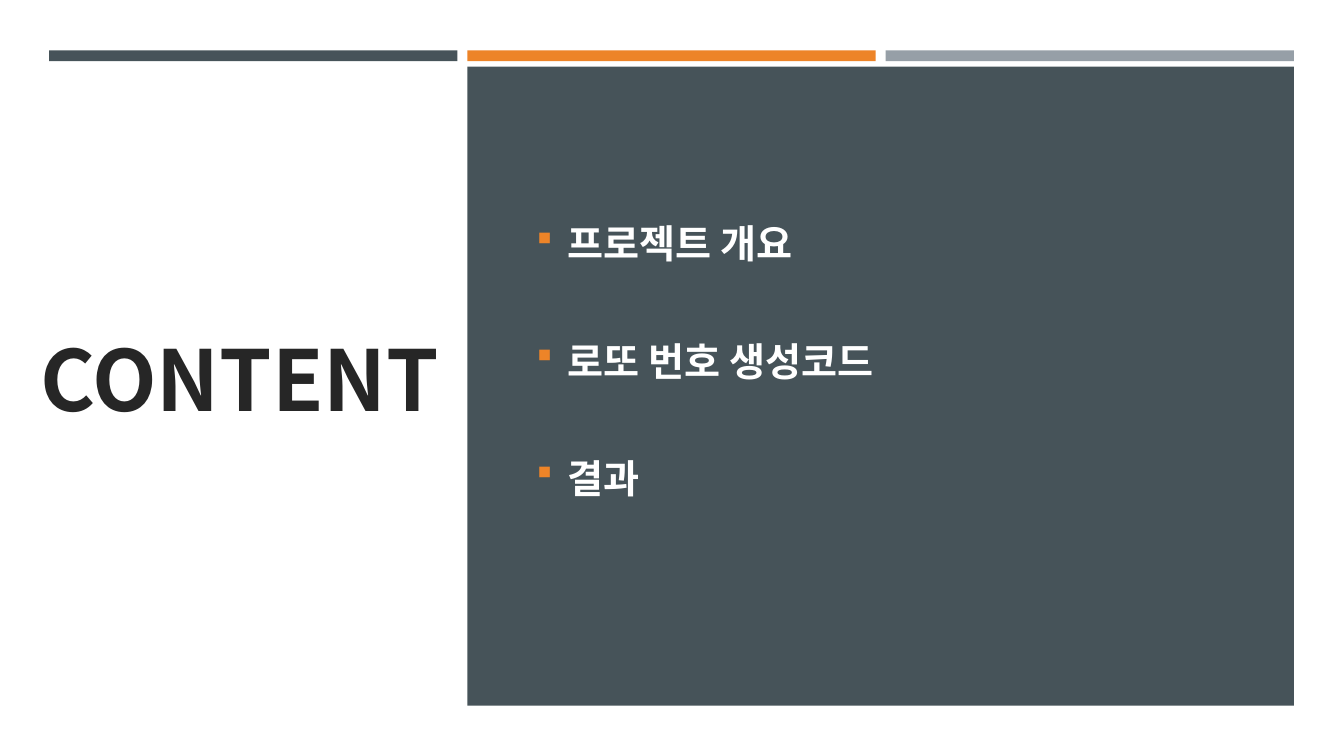
from dataclasses import dataclass

from lxml import etree
from pptx import Presentation
from pptx.dml.color import RGBColor
from pptx.enum import shapes, text
from pptx.oxml import ns
from pptx.util import Cm, Pt


@dataclass(frozen=True)
class Theme:
    font: str = "Noto Sans CJK KR"
    backdrop: str = "3D3D3D"
    white: str = "FFFFFF"
    ink: str = "262626"
    slate: str = "465359"
    orange: str = "ED8428"
    grey: str = "969FA7"
    title_size: int = 60
    item_size: int = 28


@dataclass(frozen=True)
class Box:
    """Position and size in centimetres."""
    left: float
    top: float
    width: float
    height: float


@dataclass(frozen=True)
class Block:
    box: Box
    color: str


THEME = Theme()
PAGE = Box(0, 0, 33.87, 19.05)
MARGIN, BAR_TOP, BAR_WIDTH, BAR_HEIGHT, BAR_GAP = 1.24, 1.27, 10.29, 0.27, 0.25
BAR_STEP = BAR_WIDTH + BAR_GAP
PANEL = Box(MARGIN + BAR_STEP, 1.68, BAR_STEP + BAR_WIDTH, 16.1)
TITLE = Box(0.76, 2.97, 10.67, 13.08)
LIST = Box(13.26, 2.54, 18.16, 13.08)
ITEMS = ["프로젝트 개요", "로또 번호 생성코드", "결과"]
ITEM_GAP = 50
BULLET_INDENT = 0.79


def place(shape, box: Box) -> None:
    for name in ("left", "top", "width", "height"):
        setattr(shape, name, Cm(getattr(box, name)))


def draw_block(page, block: Block) -> None:
    box = block.box
    shape = page.shapes.add_shape(
        shapes.MSO_SHAPE.RECTANGLE,
        Cm(box.left), Cm(box.top), Cm(box.width), Cm(box.height))
    shape.shadow.inherit = False
    shape.fill.solid()
    shape.fill.fore_color.rgb = RGBColor.from_string(block.color)
    shape.line.fill.background()


def prepare_placeholder(holder, box: Box):
    """Moves a placeholder to its box, above the blocks, and returns its text frame."""
    place(holder, box)
    holder.element.getparent().append(holder.element)
    frame = holder.text_frame
    settings = {"word_wrap": True, "auto_size": text.MSO_AUTO_SIZE.NONE,
                "vertical_anchor": text.MSO_ANCHOR.MIDDLE, "margin_right": 0}
    for name, value in settings.items():
        setattr(frame, name, value)
    return frame


def write(para, words: str, size: int, color: str) -> None:
    para.alignment = text.PP_ALIGN.LEFT
    span = para.add_run()
    span.text = words
    for name, value in {"name": THEME.font, "size": Pt(size), "bold": True}.items():
        setattr(span.font, name, value)
    span.font.color.rgb = RGBColor.from_string(color)
    east_asian = etree.SubElement(span.font._element, ns.qn("a:ea"))
    east_asian.set("typeface", THEME.font)


def add_bullet(para) -> None:
    properties = para._p.get_or_add_pPr()
    properties.set("marL", str(Cm(BULLET_INDENT)))
    properties.set("indent", str(-Cm(BULLET_INDENT)))
    color = etree.SubElement(properties, ns.qn("a:buClr"))
    etree.SubElement(color, ns.qn("a:srgbClr")).set("val", THEME.orange)
    # In Wingdings, § is a square
    for tag, name, value in (("a:buSzPct", "val", "92000"),
                             ("a:buFont", "typeface", "Wingdings"),
                             ("a:buChar", "char", "§")):
        etree.SubElement(properties, ns.qn(tag)).set(name, value)


def main() -> None:
    deck = Presentation()
    deck.slide_width, deck.slide_height = Cm(PAGE.width), Cm(PAGE.height)
    page = deck.slides.add_slide(deck.slide_layouts[1])
    page.background.fill.solid()
    page.background.fill.fore_color.rgb = RGBColor.from_string(THEME.backdrop)

    bars = [Block(Box(MARGIN + i * BAR_STEP, BAR_TOP, BAR_WIDTH, BAR_HEIGHT), color)
            for i, color in enumerate((THEME.slate, THEME.orange, THEME.grey))]
    for block in [Block(PAGE, THEME.white), *bars, Block(PANEL, THEME.slate)]:
        draw_block(page, block)

    title = prepare_placeholder(page.shapes.title, TITLE)
    write(title.paragraphs[0], "CONTENT", THEME.title_size, THEME.ink)

    body = prepare_placeholder(page.placeholders[1], LIST)
    for i, item in enumerate(ITEMS):
        para = body.add_paragraph() if i else body.paragraphs[0]
        para.space_before = Pt(ITEM_GAP if i else 0)
        write(para, item, THEME.item_size, THEME.white)
        add_bullet(para)

    deck.save("out.pptx")


if __name__ == "__main__":
    main()
